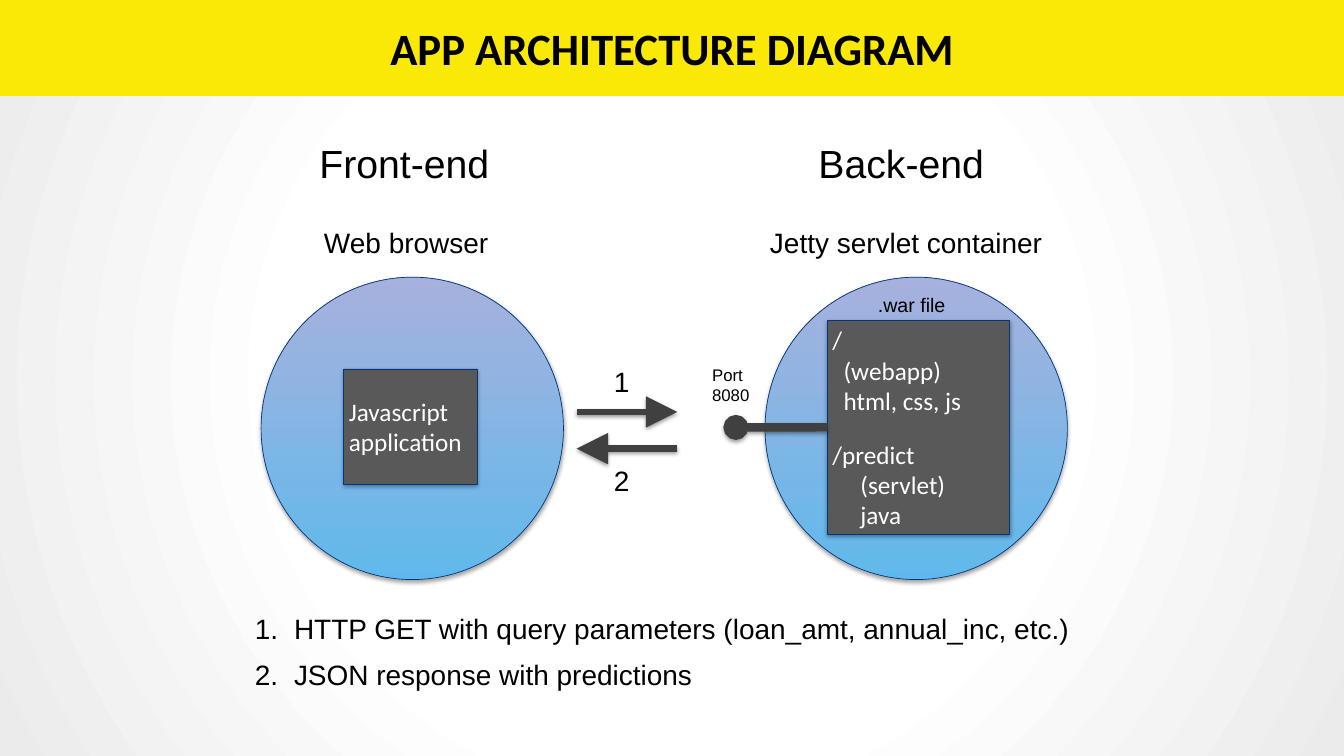
from lxml import etree
from pptx import Presentation
from pptx.dml.color import RGBColor
from pptx.enum.shapes import MSO_CONNECTOR, MSO_SHAPE
from pptx.enum.text import MSO_ANCHOR, PP_ALIGN
from pptx.oxml import parse_xml
from pptx.oxml.ns import qn
from pptx.util import Cm, Pt

RECT, OVAL = MSO_SHAPE.RECTANGLE, MSO_SHAPE.OVAL
STRAIGHT = MSO_CONNECTOR.STRAIGHT
TOP, MIDDLE = MSO_ANCHOR.TOP, MSO_ANCHOR.MIDDLE
LEFT, CENTER = PP_ALIGN.LEFT, PP_ALIGN.CENTER
NS = "http://schemas.openxmlformats.org/drawingml/2006/main"
SLIDE_W, SLIDE_H = 67.74, 38.1
BAR_H = 4.83
CIRCLE = 15.24
CIRCLE_DY = 7.21
INSET = 0.25
BLACK, WHITE, YELLOW = "000000", "FFFFFF", "FAE807"
BOX_FILL, EDGE, ARROW = "595959", "043579", "404040"


def rgb(value):
    return RGBColor.from_string(value)


def box(left, top, width, height):
    return Cm(left), Cm(top), Cm(width), Cm(height)


def style(font, size, color, name, bold=False):
    font.size, font.name, font.bold = Pt(size), name, bold
    font.color.rgb = rgb(color)


def frame(shape, anchor=TOP, wrap=False):
    tf = shape.text_frame
    tf.word_wrap, tf.vertical_anchor = wrap, anchor
    tf.margin_left = tf.margin_right = tf.margin_top = tf.margin_bottom = Cm(INSET)
    return tf


def write(tf, text, size, color=BLACK, name="Arial"):
    tf.text = text
    for p in tf.paragraphs:
        p.alignment = LEFT
        for r in p.runs:
            style(r.font, size, color, name)


def add_label(s, text, size, left, top, width, height):
    tb = s.shapes.add_textbox(*box(left, top, width, height))
    write(frame(tb), text, size)


def add_shadow(shape, alpha):
    sp_pr = shape._element.spPr
    effects = sp_pr.find(qn("a:effectLst"))
    if effects is None:
        effects = etree.SubElement(sp_pr, qn("a:effectLst"))
    effects.append(parse_xml(
        f'<a:outerShdw xmlns:a="{NS}" blurRad="76200" dist="38100" dir="5400000" rotWithShape="0">'
        f'<a:srgbClr val="{BLACK}"><a:alpha val="{alpha * 1000}"/></a:srgbClr></a:outerShdw>'))


def add_outlined(s, kind, left, top, width, height):
    sp = s.shapes.add_shape(kind, *box(left, top, width, height))
    sp.shadow.inherit = False
    sp.line.color.rgb, sp.line.width = rgb(EDGE), Pt(1)
    add_shadow(sp, 35)
    return sp


def add_circle(s, left, top):
    sp = add_outlined(s, OVAL, left, top, CIRCLE, CIRCLE)
    sp.fill.gradient()
    sp.fill.gradient_angle = 90
    for stop, color in zip(sp.fill.gradient_stops, ("60B9EC", "A7B1DD")):
        stop.color.rgb = rgb(color)


def add_code_box(s, text, left, top, width, height):
    sp = add_outlined(s, RECT, left, top, width, height)
    sp.fill.solid()
    sp.fill.fore_color.rgb = rgb(BOX_FILL)
    write(frame(sp, MIDDLE, True), text, 36, WHITE, "Calibri")
    return sp


def add_line(s, x1, x2, y, width, end, size):
    line = s.shapes.add_connector(STRAIGHT, Cm(x1), Cm(y), Cm(x2), Cm(y))
    line.line.color.rgb, line.line.width = rgb(ARROW), Pt(width)
    etree.SubElement(line.line._get_or_add_ln(), qn("a:tailEnd"), type=end, w=size, len=size)
    add_shadow(line, 38)
    return line


def set_background(s):
    s.background.fill.solid()
    bg_pr = s.background._cSld.bg.bgPr
    stops = "".join(f'<a:gs pos="{pos}"><a:srgbClr val="{color}"/></a:gs>'
                    for pos, color in ((0, WHITE), (50000, WHITE), (100000, "EBEBEB")))
    bg_pr.replace(bg_pr[0], parse_xml(
        f'<a:gradFill xmlns:a="{NS}" rotWithShape="1"><a:gsLst>{stops}</a:gsLst><a:path path="circle">'
        '<a:fillToRect l="50000" t="50000" r="50000" b="50000"/></a:path></a:gradFill>'))


def add_header(s, left, top, width, height):
    bar = s.shapes.add_shape(RECT, *box(left, top, width, height))
    bar.shadow.inherit = False
    bar.fill.solid()
    bar.fill.fore_color.rgb = rgb(YELLOW)
    bar.line.fill.background()
    s.shapes._spTree.insert(2, bar._element)
    title = s.shapes.title
    title.left, title.top, title.width, title.height = box(left + 11, top, width - 22, height)
    tf = frame(title, MIDDLE, True)
    tf.text = "APP ARCHITECTURE DIAGRAM"
    p = tf.paragraphs[0]
    p.alignment = CENTER
    style(p.runs[0].font, 64, BLACK, "Calibri", True)


def add_front_end(s, left, top):
    add_label(s, "Front-end", 56, left + 2.69, top, 9.12, 2.74)
    add_label(s, "Web browser", 40, left + 2.92, top + 4.37, 8.84, 2.06)
    circle_top = top + CIRCLE_DY
    add_circle(s, left, circle_top)
    add_code_box(s, "Javascript\napplication", left + 4.17, circle_top + 4.62, 6.73, 5.82)


def add_back_end(s, left, top):
    add_label(s, "Back-end", 56, left + 2.44, top, 8.89, 2.74)
    add_label(s, "Jetty servlet container", 40, left, top + 4.37, 14.27, 2.06)
    circle_top = top + CIRCLE_DY
    add_circle(s, left, circle_top)
    add_label(s, ".war file", 28, left + 5.44, circle_top + 0.56, 3.94, 1.6)
    war = add_code_box(s, "/\n(webapp)\nhtml, css, js\n/predict\n(servlet)\njava",
                       left + 3.15, circle_top + 2.18, 9.17, 10.77)
    tf = war.text_frame
    tf.margin_top = tf.margin_bottom = 0
    for p, indent in zip(tf.paragraphs, (0, 0.56, 0.56, 0, 1.41, 1.41)):
        p._p.get_or_add_pPr().set("marL", str(Cm(indent)))
    tf.paragraphs[3].space_before = Pt(34)
    port = add_line(s, left + 3.15, left - 1.47, circle_top + 7.57, 12, "oval", "med")
    port.begin_connect(war, 1)
    add_label(s, "Port\n8080", 24, left - 2.92, circle_top + 4.17, 2.44, 2.46)


def add_exchange(s, left, top, width):
    add_label(s, "1", 40, left + 1.63, top, 1.32, 2.06)
    add_line(s, left, left + width, top + 2.62, 9, "triangle", "lg")
    add_line(s, left + width, left, top + 4.47, 9, "triangle", "lg")
    add_label(s, "2", 40, left + 1.63, top + 4.95, 1.32, 2.06)


def add_steps(s, left, top, width, height):
    tb = s.shapes.add_textbox(*box(left, top, width, height))
    tf = frame(tb, wrap=True)
    tf.text = "HTTP GET with query parameters (loan_amt, annual_inc, etc.)\nJSON response with predictions"
    for p in tf.paragraphs:
        p_pr = p._p.get_or_add_pPr()
        p_pr.set("marL", str(Cm(1.97)))
        p_pr.set("indent", str(Cm(-1.97)))
        etree.SubElement(p_pr, qn("a:buFont"), typeface="+mj-lt")
        etree.SubElement(p_pr, qn("a:buAutoNum"), type="arabicPeriod")
        style(p.runs[0].font, 40, BLACK, "Arial")
    tf.paragraphs[1].space_before = Pt(18)


def main():
    prs = Presentation()
    prs.slide_width, prs.slide_height = Cm(SLIDE_W), Cm(SLIDE_H)
    s = prs.slides.add_slide(prs.slide_layouts[5])
    set_background(s)
    add_header(s, 0, 0, SLIDE_W, BAR_H)
    add_front_end(s, 13.16, 6.76)
    add_back_end(s, 38.56, 6.76)
    add_exchange(s, 29.06, 18.14, 5.08)
    add_steps(s, 12.6, 30.58, 42.5, 4.34)
    prs.save("out.pptx")


if __name__ == "__main__":
    main()
